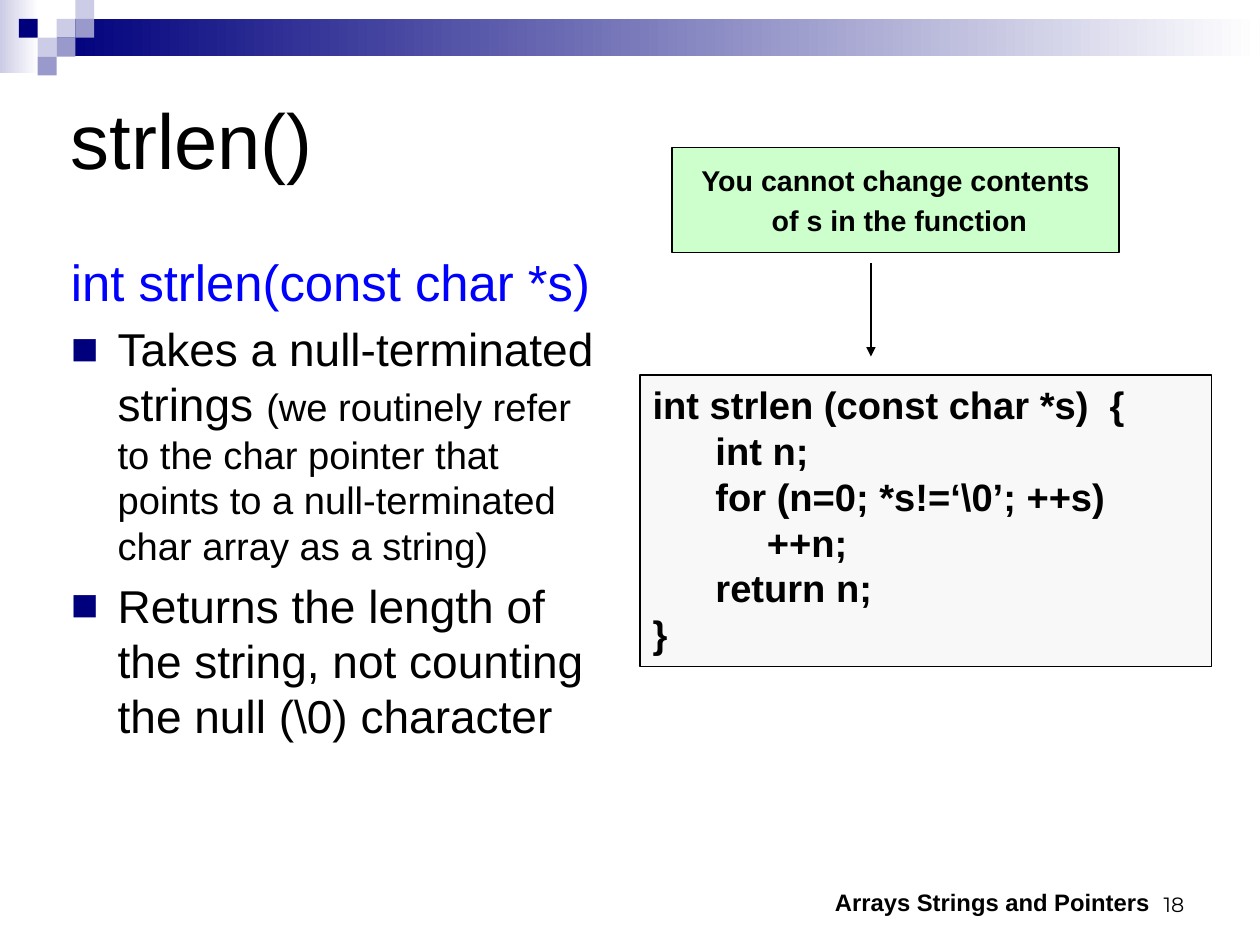
import pptx
import pptx.dml.color
import pptx.enum.shapes
import pptx.enum.text
import pptx.oxml
import pptx.oxml.ns
import pptx.util

Inches = pptx.util.Inches
Pt = pptx.util.Pt
ALIGN = pptx.enum.text.PP_ALIGN
ANCHOR = pptx.enum.text.MSO_ANCHOR
RECTANGLE = pptx.enum.shapes.MSO_SHAPE.RECTANGLE

COLORS = {
    "navy": "00007D", "lilac": "CCCCE6", "violet": "9999CC", "white": "FFFFFF",
    "black": "000000", "blue": "0000FF", "green": "CCFFCC", "gray": "F8F8F8",
}


def rgb(name):
    return pptx.dml.color.RGBColor.from_string(COLORS[name])


def xml(markup):
    return pptx.oxml.parse_xml(markup.replace(">", f" {pptx.oxml.ns.nsdecls('a')}>", 1))


def place(item, left, top, width, height):
    item.left, item.top = Inches(left), Inches(top)
    item.width, item.height = Inches(width), Inches(height)


def setup_frame(frame, anchor=ANCHOR.TOP, margins=(0.11, 0.06)):
    frame.word_wrap = True
    frame.auto_size = pptx.enum.text.MSO_AUTO_SIZE.NONE
    frame.vertical_anchor = anchor
    frame.margin_left = frame.margin_right = Inches(margins[0])
    frame.margin_top = frame.margin_bottom = Inches(margins[1])


def write(paragraph, text, size, font="Arial", color="black", bold=False,
          align=ALIGN.LEFT, before=0):
    paragraph.alignment = align
    paragraph.space_before = Pt(before)
    run = paragraph.add_run()
    run.text = text
    run.font.size, run.font.name, run.font.bold = Pt(size), font, bold
    run.font.color.rgb = rgb(color)


def next_paragraph(frame, index):
    return frame.add_paragraph() if index else frame.paragraphs[0]


def indent(paragraph, left, first=0):
    properties = paragraph._p.get_or_add_pPr()
    properties.set("marL", str(Inches(left)))
    properties.set("indent", str(Inches(first)))
    return properties


def add_bar(slide, left, top, width, height, colors):
    bar = slide.shapes.add_shape(RECTANGLE, 0, 0, 0, 0)
    place(bar, left, top, width, height)
    bar.shadow.inherit = False
    bar.line.fill.background()
    if len(colors) == 1:
        bar.fill.solid()
        bar.fill.fore_color.rgb = rgb(colors[0])
    else:
        bar.fill.gradient()
        bar.fill.gradient_angle = 0
        for stop, color in zip(bar.fill.gradient_stops, colors):
            stop.color.rgb = rgb(color)


def add_banner(slide):
    step = 0.165
    add_bar(slide, 0, 0, 0.34, 0.64, ("lilac", "white"))
    add_bar(slide, 0.5, step, 10.52, 2 * step, ("navy", "white"))
    for column, row, color in (
        (3, 1, "lilac"), (4, 0, "lilac"), (4, 1, "violet"), (2, 2, "lilac"),
        (1, 1, "navy"), (3, 2, "violet"), (2, 3, "violet"),
    ):
        add_bar(slide, column * step, row * step, step, step, (color,))


def add_box(slide, bounds, fill, line_width, **frame_format):
    box = slide.shapes.add_shape(RECTANGLE, 0, 0, 0, 0)
    place(box, *bounds)
    box.shadow.inherit = False
    box.fill.solid()
    box.fill.fore_color.rgb = rgb(fill)
    box.line.color.rgb = rgb("black")
    box.line.width = Pt(line_width)
    setup_frame(box.text_frame, **frame_format)
    return box.text_frame


def add_code(slide):
    code = add_box(slide, (5.6, 3.28, 5, 2.55), "gray", 1)
    lines = (
        (0, "int strlen (const char *s)  {"), (0.55, "int n;"),
        (0.55, "for (n=0; *s!=‘\\0’; ++s)"), (1, "++n;"),
        (0.55, "return n;"), (0, "}"),
    )
    for index, (left, text) in enumerate(lines):
        paragraph = next_paragraph(code, index)
        indent(paragraph, left)
        write(paragraph, text, 24, bold=True)


def add_callout(slide):
    callout = add_box(slide, (5.88, 1.29, 3.91, 0.92), "green", 0.75,
                      anchor=ANCHOR.MIDDLE, margins=(0, 0))
    for index, text in enumerate(("You cannot change contents", " of s in the function")):
        write(next_paragraph(callout, index), text, 18, bold=True,
              align=ALIGN.CENTER, before=3.6 * index)


def add_arrow(slide, x, top, bottom):
    arrow = slide.shapes.add_connector(
        pptx.enum.shapes.MSO_CONNECTOR.STRAIGHT,
        Inches(x), Inches(top), Inches(x), Inches(bottom))
    arrow.line.color.rgb = rgb("black")
    arrow.line.width = Pt(0.75)
    arrow.line._get_or_add_ln().append(xml('<a:tailEnd type="triangle"></a:tailEnd>'))
    arrow._element.spPr.append(xml("<a:effectLst></a:effectLst>"))


def fill_title(slide):
    title = slide.shapes.title
    place(title, 0.51, 0.38, 9.92, 1.66)
    setup_frame(title.text_frame, ANCHOR.MIDDLE)
    write(title.text_frame.paragraphs[0], "strlen()", 49)


def fill_body(slide):
    body = slide.placeholders[1]
    place(body, 0.51, 2.13, 4.88, 5.25)
    setup_frame(body.text_frame)
    signature = body.text_frame.paragraphs[0]
    write(signature, "int strlen(const char *s)", 32, color="blue")
    indent(signature, 0.41, -0.41).append(xml("<a:buNone></a:buNone>"))
    points = (
        (("Takes a null-terminated strings ", 29),
         ("(we routinely refer to the char pointer that points to a "
          "null-terminated char array as a string)", 24)),
        (("Returns the length of the string, not counting the null (\\0) character", 29),),
    )
    for point in points:
        paragraph = body.text_frame.add_paragraph()
        for text, size in point:
            write(paragraph, text, size, before=5.8)
        properties = indent(paragraph, 0.41, -0.41)
        for markup in (
            f'<a:buClr><a:srgbClr val="{COLORS["navy"]}"/></a:buClr>',
            '<a:buFont typeface="Arial"></a:buFont>',
            '<a:buChar char="■"></a:buChar>',
        ):
            properties.append(xml(markup))


def add_footer(slide, bounds, text, size, **text_format):
    footer = slide.shapes.add_textbox(0, 0, 0, 0)
    place(footer, *bounds)
    setup_frame(footer.text_frame, ANCHOR.BOTTOM)
    write(footer.text_frame.paragraphs[0], text, size, align=ALIGN.RIGHT, **text_format)


def main():
    """Build the strlen() slide and save it."""
    deck = pptx.Presentation()
    deck.slide_width = Inches(28 / 2.54)
    deck.slide_height = Inches(21 / 2.54)
    slide = deck.slides.add_slide(deck.slide_layouts[1])
    add_banner(slide)
    fill_title(slide)
    fill_body(slide)
    add_code(slide)
    add_callout(slide)
    add_arrow(slide, 7.62, 2.3, 3.12)
    add_footer(slide, (7.9, 7.53, 2.57, 0.55), "18", 13, font="Montserrat")
    add_footer(slide, (7.01, 7.53, 3.16, 0.55), "Arrays Strings and Pointers", 15, bold=True)
    deck.save("out.pptx")


if __name__ == "__main__":
    main()
